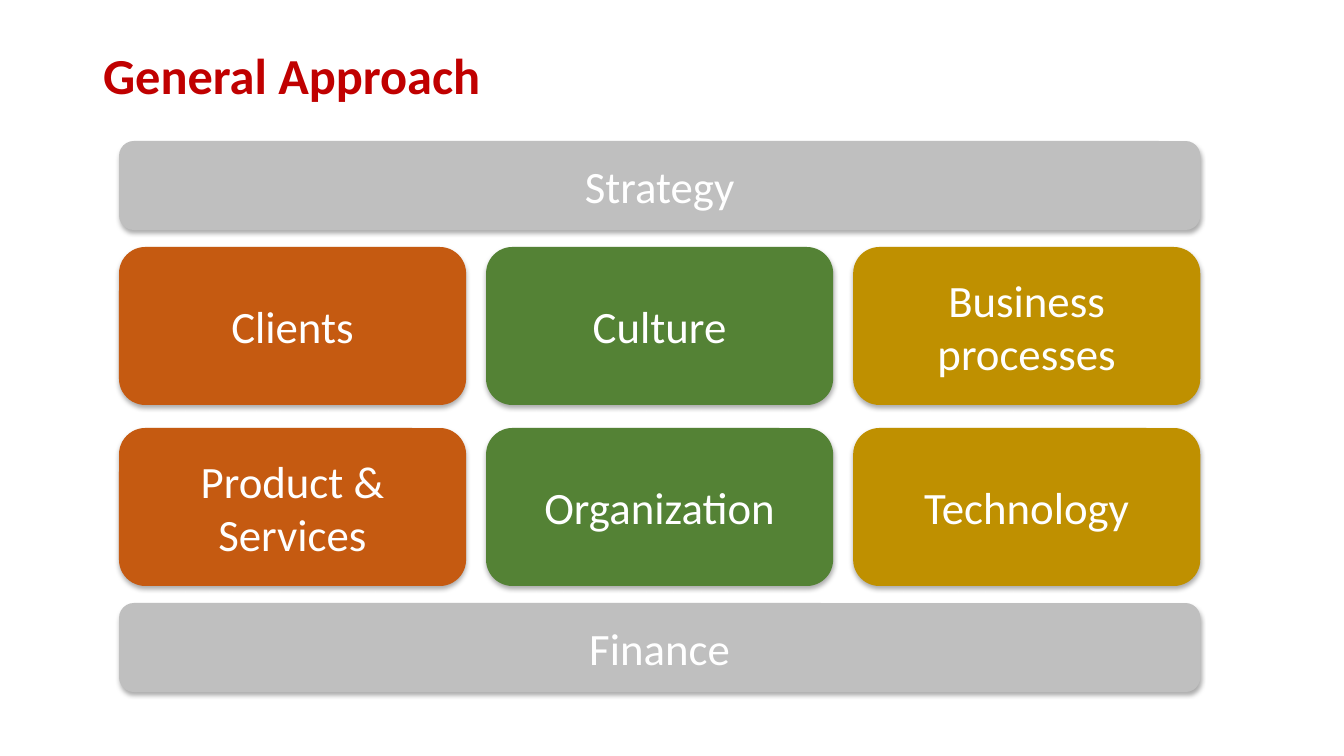
from pptx import Presentation
from pptx.dml.color import RGBColor
from pptx.enum.shapes import MSO_SHAPE as Shape
from pptx.enum.text import MSO_ANCHOR as Anchor, MSO_AUTO_SIZE as AutoSize, PP_ALIGN as Align
from pptx.oxml import parse_xml
from pptx.oxml.ns import nsdecls
from pptx.util import Inches, Pt

SCALE = Inches(1) / 100.8

WHITE = RGBColor(0xFF, 0xFF, 0xFF)
RED = RGBColor(0xC0, 0x00, 0x00)
GRAY = RGBColor(0xBF, 0xBF, 0xBF)
ORANGE = RGBColor(0xC5, 0x5A, 0x11)
GREEN = RGBColor(0x54, 0x82, 0x35)
GOLD = RGBColor(0xBF, 0x90, 0x00)

TITLE_FONT = {"name": "Calibri", "size": Pt(36), "bold": True}
BOX_FONT = {"name": "Calibri", "size": Pt(32), "bold": False}

LEFT = 119
BOX_WIDTH, BOX_HEIGHT = 347, 158
COLUMN_STEP = 367
BAR_HEIGHT = 89
BAR_WIDTH = 2 * COLUMN_STEP + BOX_WIDTH
ROW_TOPS = (247, 428)

BARS = (("Strategy", 141), ("Finance", 603))
COLUMNS = (
    (ORANGE, ("Clients", "Product & Services")),
    (GREEN, ("Culture", "Organization")),
    (GOLD, ("Business processes", "Technology")),
)


def px(length):
    return round(length * SCALE)


def write_text(shape, text, font, color, align):
    frame = shape.text_frame
    frame.word_wrap = True
    frame.auto_size = AutoSize.NONE
    frame.vertical_anchor = Anchor.MIDDLE
    para = frame.paragraphs[0]
    para.alignment = align
    span = para.add_run()
    span.text = text
    for key, value in font.items():
        setattr(span.font, key, value)
    span.font.color.rgb = color
    return para


def add_shadow(box):
    box.shadow.inherit = False
    effects = box._element.spPr.find("{*}effectLst")
    effects.append(parse_xml(
        f'<a:outerShdw {nsdecls("a")} blurRad="{Pt(3.5)}" dist="{Pt(2.2)}" '
        'dir="5400000" algn="ctr" rotWithShape="0"><a:srgbClr val="000000">'
        '<a:alpha val="32000"/></a:srgbClr></a:outerShdw>'
    ))


def add_box(group, text, color, left, top, width, height):
    box = group.shapes.add_shape(
        Shape.ROUNDED_RECTANGLE, *map(px, (left, top, width, height)))
    box.fill.solid()
    box.fill.fore_color.rgb = color
    box.line.fill.background()
    add_shadow(box)
    write_text(box, text, BOX_FONT, WHITE, Align.CENTER)


def set_title(page, text):
    title = page.shapes.title
    place = {"left": 93, "top": 40, "width": 1159, "height": 76}
    for key, value in place.items():
        setattr(title, key, px(value))
    para = write_text(title, text, TITLE_FONT, RED, Align.LEFT)
    para.line_spacing = 0.9


def main():
    deck = Presentation()
    deck.slide_width, deck.slide_height = Inches(13.33), Inches(7.5)
    page = deck.slides.add_slide(deck.slide_layouts[5])
    set_title(page, "General Approach")

    group = page.shapes.add_group_shape()
    for index, (color, labels) in enumerate(COLUMNS):
        for label, top in zip(labels, ROW_TOPS):
            add_box(group, label, color, LEFT + index * COLUMN_STEP, top,
                    BOX_WIDTH, BOX_HEIGHT)
    for label, top in BARS:
        add_box(group, label, GRAY, LEFT, top, BAR_WIDTH, BAR_HEIGHT)

    deck.save("out.pptx")


main()
